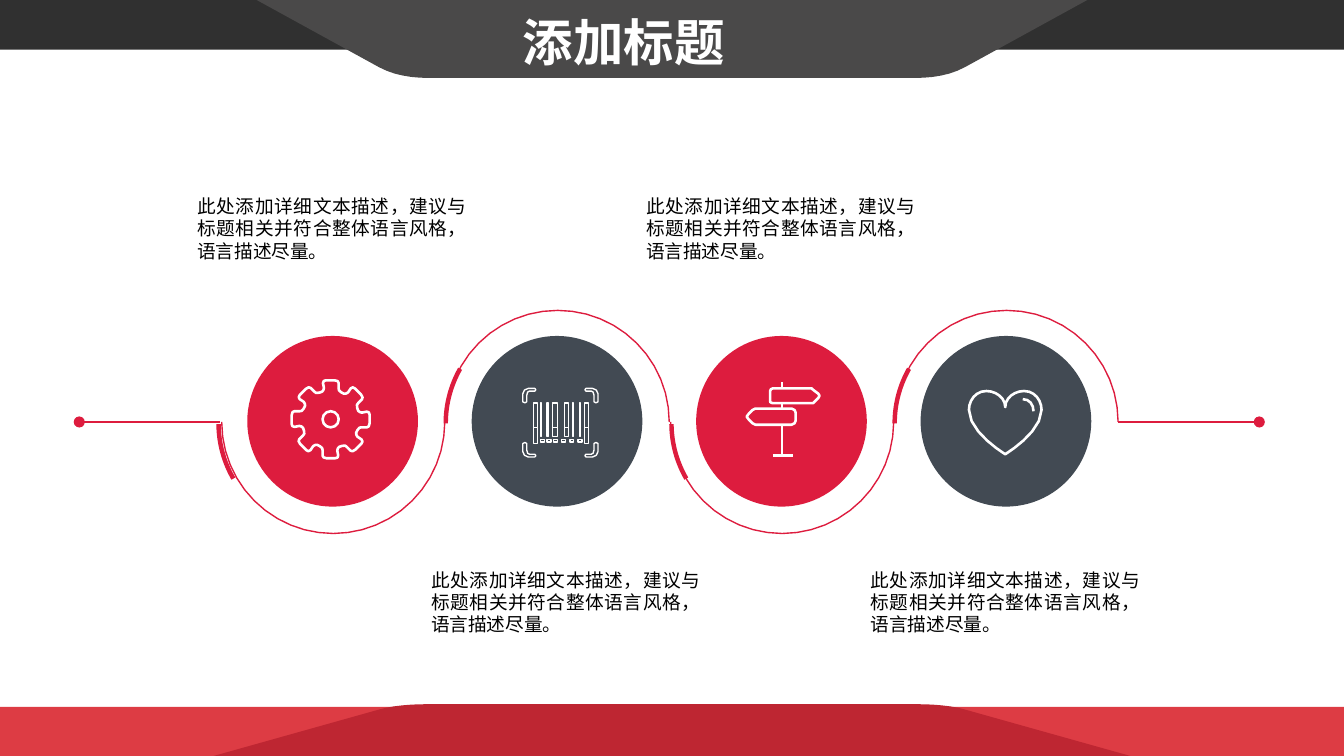
from dataclasses import dataclass
from math import cos, pi, sin
from typing import Callable

from lxml import etree
from pptx import Presentation
from pptx.dml.color import RGBColor
from pptx.enum.shapes import MSO_CONNECTOR, MSO_SHAPE
from pptx.enum.text import MSO_ANCHOR, MSO_AUTO_SIZE, PP_ALIGN
from pptx.oxml.ns import qn
from pptx.util import Inches, Pt

RECT, OVAL, ARC = MSO_SHAPE.RECTANGLE, MSO_SHAPE.OVAL, MSO_SHAPE.BLOCK_ARC
STRAIGHT = MSO_CONNECTOR.STRAIGHT
LEFT, JUSTIFY = PP_ALIGN.LEFT, PP_ALIGN.JUSTIFY
TOP, MIDDLE = MSO_ANCHOR.TOP, MSO_ANCHOR.MIDDLE
FIT = MSO_AUTO_SIZE.SHAPE_TO_FIT_TEXT

Point = tuple[float, float]


@dataclass(frozen=True)
class Theme:
    red: str = "DD1C3E"
    slate: str = "424A53"
    bar: str = "303030"
    banner: str = "4A4949"
    base: str = "DD3C44"
    ramp: str = "BE2632"
    white: str = "FFFFFF"
    black: str = "000000"
    font: str = "Noto Sans CJK SC"
    title: float = 27
    body: float = 10
    thin: float = 0.75
    bold: float = 1.38


@dataclass(frozen=True)
class Step:
    fill: str
    side: int  # 1: wave dips below the axis, -1: rises above it
    arc: float
    note: Point
    icon: Callable[[], None]


T = Theme()
WIDTH, HEIGHT = 10, 10 * 9 / 16
AXIS, RADIUS, PITCH, FIRST = 3.14, 0.83, 1.67, 2.48
NOTE = "此处添加详细文本描述，建议与标题相关并符合整体语言风格，语言描述尽量。"

deck = Presentation()
deck.slide_width, deck.slide_height = Inches(WIDTH), Inches(HEIGHT)
slide = deck.slides.add_slide(deck.slide_layouts[5])
shapes = slide.shapes


def paint(shape, fill: str = "", line: str = "", width: float = T.thin) -> None:
    shape.shadow.inherit = False
    if fill:
        shape.fill.solid()
        shape.fill.fore_color.rgb = RGBColor.from_string(fill)
    else:
        shape.fill.background()
    if line:
        shape.line.color.rgb = RGBColor.from_string(line)
        shape.line.width = Pt(width)
    else:
        shape.line.fill.background()


def block(kind, x: float, y: float, w: float, h: float, **look):
    shape = shapes.add_shape(kind, Inches(x), Inches(y), Inches(w), Inches(h))
    paint(shape, **look)
    return shape


def curve(*parts: tuple, cuts: int = 2) -> list[Point]:
    """Flatten a path: 2 numbers are a corner, 6 are a cubic Bezier."""
    points: list[Point] = []
    for part in parts:
        if len(part) == 2:
            points.append(part)
            continue
        nodes = [points[-1], part[:2], part[2:4], part[4:]]
        for n in range(1, cuts + 1):
            t = n / cuts
            mix = ((1 - t) ** 3, 3 * t * (1 - t) ** 2, 3 * t * t * (1 - t), t ** 3)
            points.append(tuple(sum(m * p[k] for m, p in zip(mix, nodes)) for k in (0, 1)))
    return points


def trace(points: list[Point], close: bool = True, **look) -> None:
    spots = [(Inches(x), Inches(y)) for x, y in points]
    pen = shapes.build_freeform(*spots[0])
    pen.add_line_segments(spots[1:], close=close)
    paint(pen.convert_to_shape(), **look)


def link(start: Point, end: Point, color: str, width: float, tip: str = "") -> None:
    line = shapes.add_connector(STRAIGHT, *map(Inches, start + end))
    line.line.color.rgb = RGBColor.from_string(color)
    line.line.width = Pt(width)
    props = line.element.spPr
    if tip:
        etree.SubElement(props.find(qn("a:ln")), qn("a:" + tip), type="oval")
    etree.SubElement(props, qn("a:effectLst"))


def write(shape, text: str, *, size: float, color: str, bold: bool = False,
          align=LEFT, anchor=TOP, wrap: bool = True, lead: float = 0) -> None:
    frame = shape.text_frame
    frame.word_wrap, frame.auto_size, frame.vertical_anchor = wrap, FIT, anchor
    para = frame.paragraphs[0]
    para.alignment = align
    if lead:
        para.line_spacing = Pt(lead)
    run = para.add_run()
    run.text = text
    font = run.font
    font.size, font.bold, font.name = Pt(size), bold, T.font
    font.color.rgb = RGBColor.from_string(color)
    latin = shape.element.find(".//" + qn("a:latin"))
    latin.addnext(latin.makeelement(qn("a:ea"), {"typeface": T.font}))


def panel(half: list[Point], fill: str) -> None:
    """Complete a left half by mirroring it about the slide's centre."""
    trace(half + [(WIDTH - x, y) for x, y in reversed(half)], fill=fill)


def gear() -> None:
    x, y = 2.46, 3.12
    tooth = curve((-0.03, -0.29), (0.03, -0.29), (0.05, -0.29, 0.06, -0.28, 0.06, -0.27),
                  (0.06, -0.23), (0.06, -0.22, 0.06, -0.21, 0.08, -0.2),
                  (0.1, -0.19), (0.11, -0.19, 0.12, -0.19, 0.13, -0.2),
                  (0.15, -0.23), (0.16, -0.24, 0.17, -0.24, 0.18, -0.23))
    turns = [n * pi / 4 for n in range(8)]
    trace([(x + a * cos(t) - b * sin(t), y + a * sin(t) + b * cos(t))
           for t in turns for a, b in tooth], line=T.white, width=T.bold)
    block(OVAL, 2.4, 3.06, 0.12, 0.12, line=T.white, width=T.bold)


def code() -> None:
    """Bar code inside four corner brackets."""
    corner = curve((0.09, 0.02), (0.05, 0.02), (0.04, 0.02, 0.03, 0.03, 0.03, 0.05),
                   (0.03, 0.1), (0.03, 0.11, 0, 0.11, 0, 0.1), (0, 0.04),
                   (0, 0.02, 0.02, 0, 0.04, 0), (0.09, 0), (0.1, 0, 0.1, 0.02, 0.09, 0.02))
    for x, dx in ((3.89, 1), (4.45, -1)):
        for y, dy in ((2.89, 1), (3.4, -1)):
            trace([(x + dx * a, y + dy * b) for a, b in corner], line=T.white)
    bars = ((3.97, 0.03), (4.02, 0.01), (4.07, 0.01), (4.11, 0.04),
            (4.2, 0.03), (4.26, 0.01), (4.31, 0.01), (4.35, 0.03))
    for bar in bars:
        x, w = bar
        block(RECT, x, 3, w, 0.18, line=T.white)
        block(RECT, x, 3.18, w, 0.12 if bar in (bars[0], bars[-1]) else 0.07, line=T.white)
    for x in (4.02, 4.07, 4.12, 4.18, 4.24, 4.3):
        block(RECT, x, 3.27, 0.03, 0.02, line=T.white)


def signs() -> None:
    trace(curve((6.04, 3), (5.75, 3), (5.74, 3, 5.73, 2.99, 5.73, 2.99), (5.73, 2.91),
                (5.73, 2.9, 5.74, 2.89, 5.75, 2.89), (6.04, 2.89), (6.05, 2.9), (6.09, 2.93),
                (6.1, 2.94, 6.1, 2.95, 6.09, 2.96), (6.05, 3)), line=T.white, width=T.bold)
    trace(curve((5.62, 3.04), (5.89, 3.04), (5.91, 3.04, 5.92, 3.06, 5.92, 3.07), (5.92, 3.13),
                (5.92, 3.14, 5.91, 3.16, 5.89, 3.16), (5.62, 3.16), (5.6, 3.15), (5.57, 3.12),
                (5.55, 3.11, 5.55, 3.09, 5.57, 3.08), (5.6, 3.05)), line=T.white, width=T.bold)
    for y, end in ((3.16, 3.38), (3.04, 3), (2.89, 2.84)):
        link((5.82, y), (5.82, end), T.white, T.bold)
    link((5.75, 3.39), (5.9, 3.39), T.white, T.bold)


def heart() -> None:
    trace(curve((7.21, 3.05), (7.21, 3.22, 7.48, 3.38, 7.48, 3.38),
                (7.48, 3.38, 7.75, 3.22, 7.75, 3.05), (7.75, 2.98, 7.7, 2.91, 7.62, 2.91),
                (7.55, 2.91, 7.48, 2.96, 7.48, 3.03), (7.48, 2.96, 7.41, 2.91, 7.34, 2.91),
                (7.26, 2.91, 7.21, 2.98, 7.21, 3.05), cuts=6), line=T.white, width=T.bold)
    trace(curve((7.69, 3.06), (7.69, 3.01, 7.66, 2.97, 7.61, 2.97), cuts=4),
          close=False, line=T.white, width=T.bold)


def wave(x: float, step: Step) -> None:
    angles = [n * pi / 24 for n in range(25)]
    trace([(x + RADIUS * cos(a), AXIS + step.side * RADIUS * sin(a)) for a in angles],
          close=False, line=T.red)
    arc = block(ARC, step.arc, 2.31, 1.68, 1.68, fill=T.red)
    for n, value in enumerate((108, 125.7, 0.02)):
        arc.adjustments[n] = value
    arc.rotation = 330 if step.side > 0 else 0


def main() -> None:
    block(RECT, 0, 5.26, WIDTH, 0.37, fill=T.base)
    panel(curve((1.59, HEIGHT), (2.82, 5.28), (2.92, 5.25, 3.06, 5.24, 3.18, 5.24), cuts=6), T.ramp)
    block(RECT, 0, 0, WIDTH, 0.37, fill=T.bar)
    panel(curve((1.91, 0), (2.82, 0.5), (2.93, 0.56, 3.06, 0.58, 3.19, 0.58), cuts=6), T.banner)

    title = shapes.title
    title.left, title.top, title.width, title.height = map(Inches, (3.79, 0.03, 1.72, 0.56))
    write(title, "添加标题", size=T.title, color=T.white, bold=True, anchor=MIDDLE, wrap=False)
    title.element.getparent().append(title.element)  # in front of the banner

    steps = (Step(T.red, 1, 1.61, (1.37, 1.4), gear), Step(T.slate, -1, 3.3, (3.11, 4.18), code),
             Step(T.red, 1, 4.98, (4.71, 1.4), signs), Step(T.slate, -1, 6.64, (6.38, 4.18), heart))
    link((8.32, AXIS), (9.37, AXIS), T.red, T.thin, "tailEnd")
    link((0.59, AXIS), (1.64, AXIS), T.red, T.thin, "headEnd")
    for n, step in enumerate(steps):
        x = FIRST + n * PITCH
        wave(x, step)
        block(OVAL, x - 0.64, 2.5, 1.27, 1.27, fill=step.fill)
        step.icon()
        box = shapes.add_textbox(*map(Inches, step.note + (2.2, 0.61)))
        write(box, NOTE, size=T.body, color=T.black, align=JUSTIFY, lead=12)
    deck.save("out.pptx")


if __name__ == "__main__":
    main()
